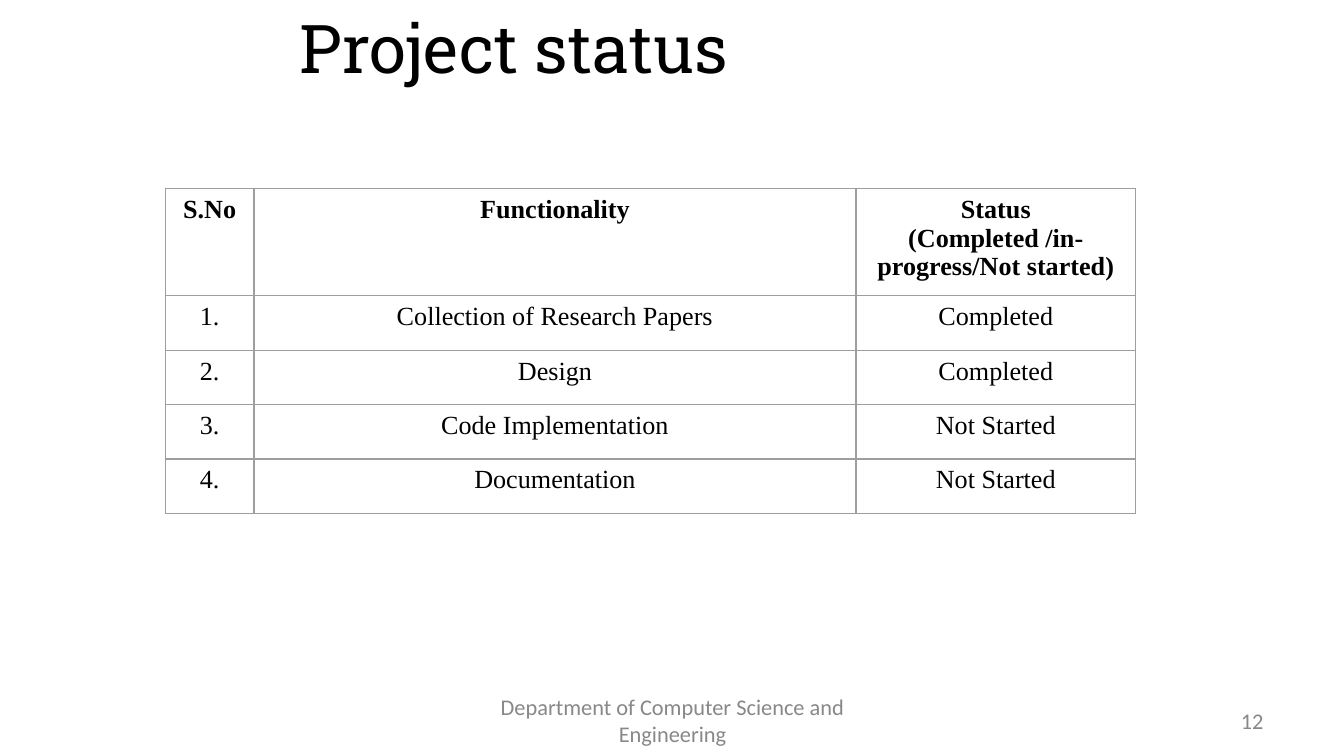
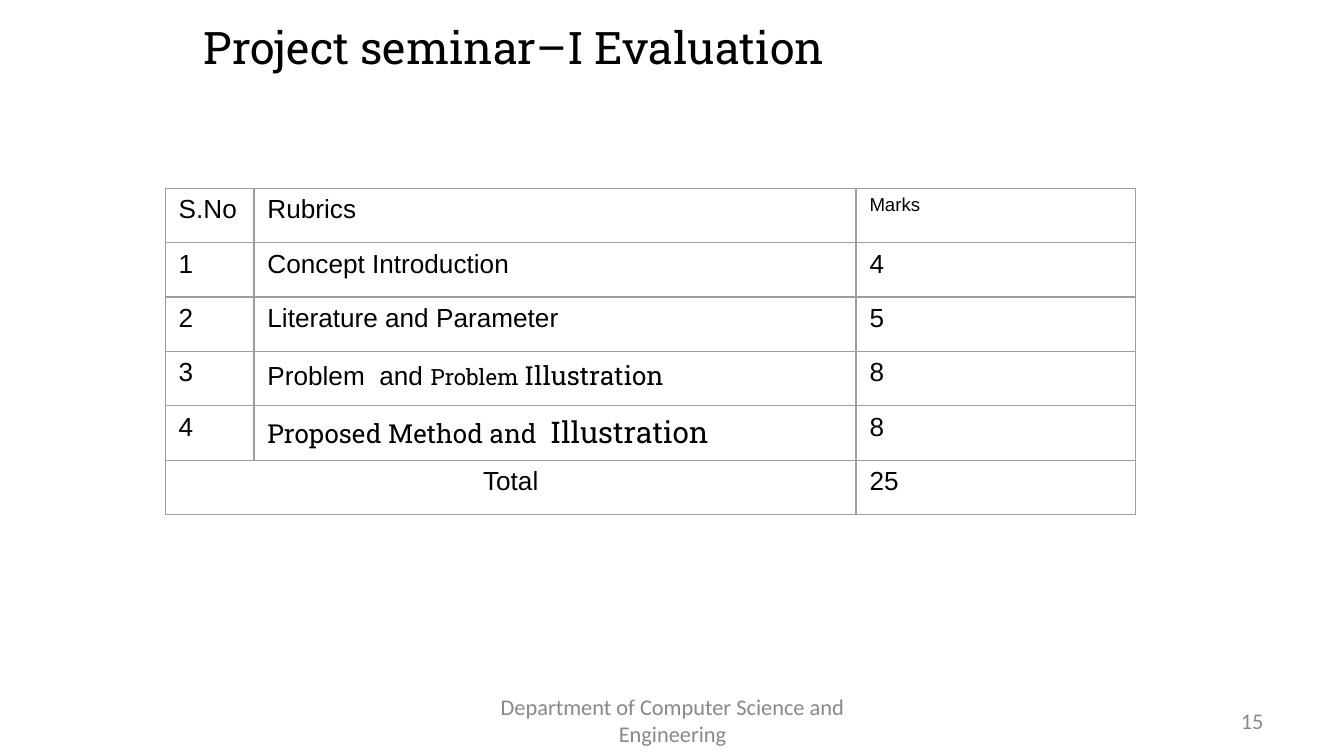
"""Builds the project status and seminar evaluation slides."""
from lxml import etree
from pptx import Presentation
from pptx.dml.color import RGBColor
from pptx.enum.text import MSO_ANCHOR, MSO_AUTO_SIZE, PP_ALIGN
from pptx.oxml.ns import qn
from pptx.util import Inches, Pt

LEFT, CENTER, RIGHT = PP_ALIGN.LEFT, PP_ALIGN.CENTER, PP_ALIGN.RIGHT
MIDDLE = MSO_ANCHOR.MIDDLE
NO_FIT = MSO_AUTO_SIZE.NONE

BLACK = RGBColor(0x00, 0x00, 0x00)
GRAY = RGBColor(0x88, 0x88, 0x88)
BORDER = RGBColor(0x9E, 0x9E, 0x9E)

SLAB, SERIF, SANS, SMALL = "Roboto Slab", "Times New Roman", "Arial", "Calibri"
GRID_COLS, GRID_ROWS = 100, 56.25
TITLE_ONLY = 5

FOOTER = "Department of Computer Science and Engineering"
TABLE_COLS = (6.6, 44.8, 20.8)
ROW_HEIGHT = 4.05

STATUS_ROWS = [
    ("S.No", "Functionality", "Status\n(Completed /in-progress/Not started)"),
    ("1.", "Collection of Research Papers", "Completed"),
    ("2.", "Design", "Completed"),
    ("3.", "Code Implementation", "Not Started"),
    ("4.", "Documentation", "Not Started"),
]

RUBRIC_ROWS = [
    ("S.No", "Rubrics", [("Marks", {"size": 10})]),
    ("1", "Concept Introduction", "4"),
    ("2", "Literature and Parameter", "5"),
    ("3", [("Problem  and ", {}),
           ("Problem ", {"size": 12, "font": SLAB}),
           ("Illustration", {"font": SLAB})], "8"),
    ("4", [("Proposed Method and  ", {"font": SLAB}),
           ("Illustration", {"size": 16, "font": SLAB})], "8"),
    ("Total", "", "25"),
]


def write(tf, text, align=LEFT, **fmt):
    """Fill a text frame with a string, or with (text, format) runs."""
    if isinstance(text, str):
        paragraphs = [[(line, {})] for line in text.split("\n")]
    else:
        paragraphs = [text]
    for i, runs in enumerate(paragraphs):
        p = tf.add_paragraph() if i else tf.paragraphs[0]
        p.alignment = align
        for part, own in runs:
            style = {"size": 14, "font": SANS, "color": BLACK, "bold": False, **fmt, **own}
            r = p.add_run()
            r.text = part
            r.font.size = Pt(style["size"])
            r.font.name = style["font"]
            r.font.bold = style["bold"]
            r.font.color.rgb = style["color"]
        etree.SubElement(p._p, qn("a:endParaRPr"), sz=str(style["size"] * 100))


class Deck:
    """Holds the shared style, the grid and the current slide."""

    def __init__(self):
        """Start an empty widescreen deck."""
        self.prs = Presentation()
        self.prs.slide_width = Inches(10)
        self.prs.slide_height = self.prs.slide_width * 9 // 16
        self.s = None

    def x(self, cols):
        """Turn grid columns into a length."""
        return round(self.prs.slide_width * cols / GRID_COLS)

    def y(self, rows):
        """Turn grid rows into a length."""
        return round(self.prs.slide_height * rows / GRID_ROWS)

    def box(self, left, top, width, height):
        """Turn a grid box into lengths."""
        return self.x(left), self.y(top), self.x(width), self.y(height)

    def slide(self, title, title_size, number):
        """Add a slide with its title, footer and number."""
        self.s = self.prs.slides.add_slide(self.prs.slide_layouts[TITLE_ONLY])
        self.title(title, title_size)
        self.text(FOOTER, 34.2, 31.7, CENTER)
        self.text(number, 71.7, 23.3, RIGHT)

    def title(self, text, size):
        """Place and fill the title placeholder."""
        sp = self.s.shapes.title
        sp.left, sp.top, sp.width, sp.height = self.box(4.8, 0, 66.9, 6.9)
        tf = sp.text_frame
        tf.auto_size, tf.vertical_anchor = NO_FIT, MIDDLE
        write(tf, text, CENTER, size=size, font=SLAB)

    def text(self, text, left, width, align):
        """Add a small gray text in the footer row."""
        tf = self.s.shapes.add_textbox(*self.box(left, 52.1, width, 3)).text_frame
        tf.word_wrap, tf.vertical_anchor = True, MIDDLE
        write(tf, text, align, size=12, font=SMALL, color=GRAY)

    def table(self, rows, align=LEFT, bold_header=False, **fmt):
        """Add a bordered table and return it."""
        place = self.box(12.3, 14, sum(TABLE_COLS), ROW_HEIGHT * len(rows))
        table = self.s.shapes.add_table(len(rows), len(TABLE_COLS), *place).table
        table.first_row = table.horz_banding = False
        for column, width in zip(table.columns, TABLE_COLS):
            column.width = self.x(width)
        for i, row in enumerate(rows):
            table.rows[i].height = self.y(ROW_HEIGHT)
            for j, text in enumerate(row):
                cell = table.cell(i, j)
                cell.fill.background()
                self.borders(cell)
                if text:
                    write(cell.text_frame, text, align, bold=bold_header and i == 0, **fmt)
        return table

    def borders(self, cell):
        """Draw a thin line on each side of a cell."""
        tcPr = cell._tc.get_or_add_tcPr()
        for i, side in enumerate(("a:lnL", "a:lnR", "a:lnT", "a:lnB")):
            ln = etree.Element(qn(side), w=str(Pt(0.75)))
            fill = etree.SubElement(ln, qn("a:solidFill"))
            etree.SubElement(fill, qn("a:srgbClr"), val=str(BORDER))
            tcPr.insert(i, ln)


def main():
    """Build both slides and save the deck."""
    deck = Deck()

    deck.slide("Project status", 36, "12")
    deck.table(STATUS_ROWS, CENTER, bold_header=True, font=SERIF)

    deck.slide("Project seminar–I Evaluation", 24, "15")
    table = deck.table(RUBRIC_ROWS)
    total = table.cell(len(RUBRIC_ROWS) - 1, 0)
    total.merge(table.cell(len(RUBRIC_ROWS) - 1, 1))
    total.text_frame.paragraphs[0].alignment = CENTER

    deck.prs.save("out.pptx")


if __name__ == "__main__":
    main()
